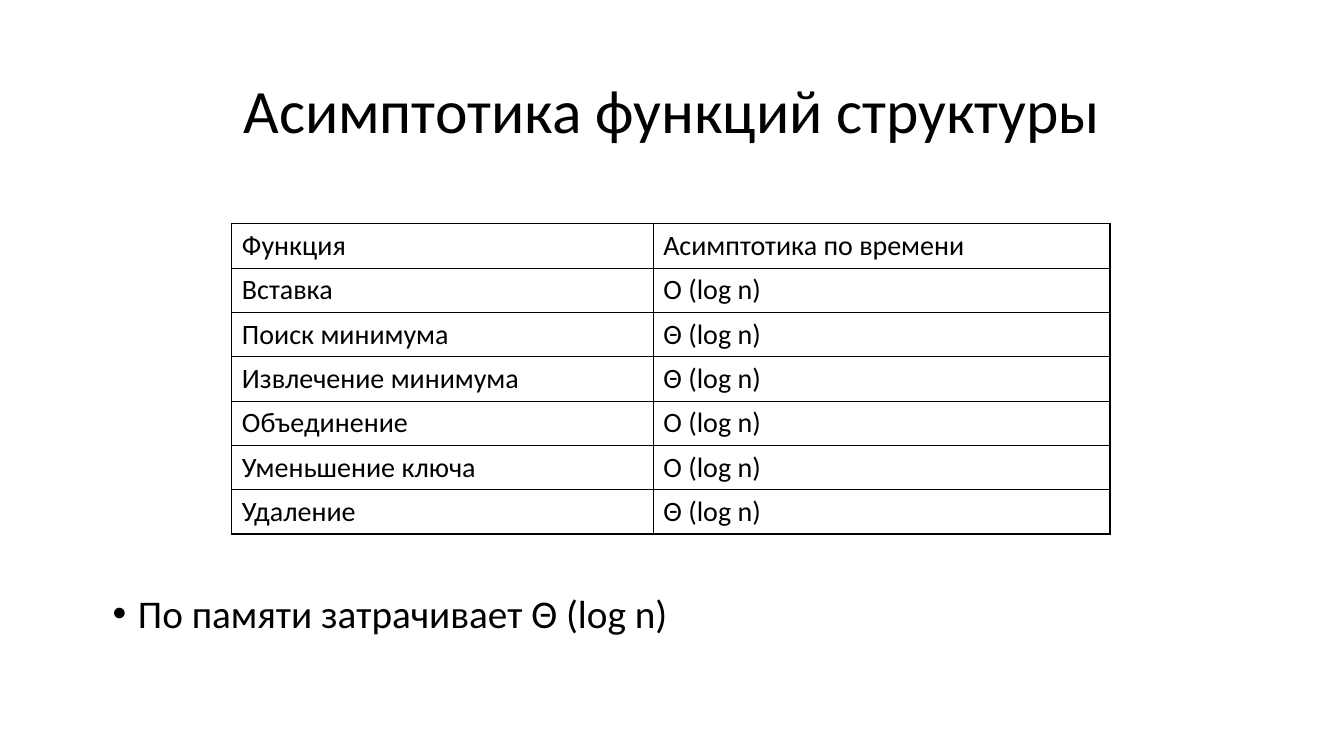
"""Build a slide with a table of heap operation complexities."""
import pptx
import pptx.util
import pptx.dml.color
import pptx.enum.text
import pptx.oxml
import pptx.oxml.ns
import lxml.etree

Inches, Pt = pptx.util.Inches, pptx.util.Pt
BLACK = pptx.dml.color.RGBColor(0, 0, 0)
FONT = "Calibri"
ROWS = [
    ("Функция", "Асимптотика по времени"),
    ("Вставка", "O (log n)"),
    ("Поиск минимума", "Θ (log n)"),
    ("Извлечение минимума", "Θ (log n)"),
    ("Объединение", "О (log n)"),
    ("Уменьшение ключа", "O (log n)"),
    ("Удаление", "Θ (log n)"),
]
COL_WIDTHS = (4.18, 4.53)
ROW_HEIGHT = 0.44


def write(tf, text, size):
    tf.word_wrap = True
    p = tf.paragraphs[0]
    p.text = text
    p.font.name = FONT
    p.font.size = Pt(size)
    p.font.color.rgb = BLACK
    return p


def add_borders(cell):
    tc_pr = cell._tc.get_or_add_tcPr()
    for i, side in enumerate(("lnL", "lnR", "lnT", "lnB")):
        ln = pptx.oxml.parse_xml(
            f'<a:{side} {pptx.oxml.ns.nsdecls("a")} w="{Pt(1)}">'
            f'<a:solidFill><a:srgbClr val="{BLACK}"/></a:solidFill></a:{side}>')
        tc_pr.insert(i, ln)


prs = pptx.Presentation()
prs.slide_width, prs.slide_height = Inches(13.33), Inches(7.5)
s = prs.slides.add_slide(prs.slide_layouts[6])

title = s.shapes.add_textbox(Inches(0.92), Inches(0.4), Inches(11.5), Inches(1.45))
title.text_frame.vertical_anchor = pptx.enum.text.MSO_ANCHOR.MIDDLE
p = write(title.text_frame, "Асимптотика функций структуры", 44)
p.alignment = pptx.enum.text.PP_ALIGN.CENTER
p.line_spacing = 0.9

table = s.shapes.add_table(
    len(ROWS), len(COL_WIDTHS), Inches(2.3), Inches(2.22),
    Inches(sum(COL_WIDTHS)), Inches(ROW_HEIGHT * len(ROWS))).table
table.first_row = table.horz_banding = False
for column, width in zip(table.columns, COL_WIDTHS):
    column.width = Inches(width)
for row, texts in zip(table.rows, ROWS):
    row.height = Inches(ROW_HEIGHT)
    for cell, text in zip(row.cells, texts):
        write(cell.text_frame, text, 20)
        cell.fill.background()
        add_borders(cell)

memory = s.shapes.add_textbox(Inches(1.02), Inches(5.85), Inches(11.5), Inches(1.65))
p = write(memory.text_frame, "По памяти затрачивает Θ (log n)", 28)
p.line_spacing = 0.9
p.space_before = Pt(10)
p_pr = p._p.get_or_add_pPr()
p_pr.set("marL", str(Inches(0.25)))
p_pr.set("indent", str(-Inches(0.25)))
bullet_font = pptx.oxml.parse_xml(
    f'<a:buFont {pptx.oxml.ns.nsdecls("a")} typeface="Arial"/>')
bullet = pptx.oxml.parse_xml(
    f'<a:buChar {pptx.oxml.ns.nsdecls("a")} char="•"/>')
default_run = p_pr.find(pptx.oxml.ns.qn("a:defRPr"))
default_run.addprevious(bullet_font)
default_run.addprevious(bullet)

prs.save("out.pptx")
